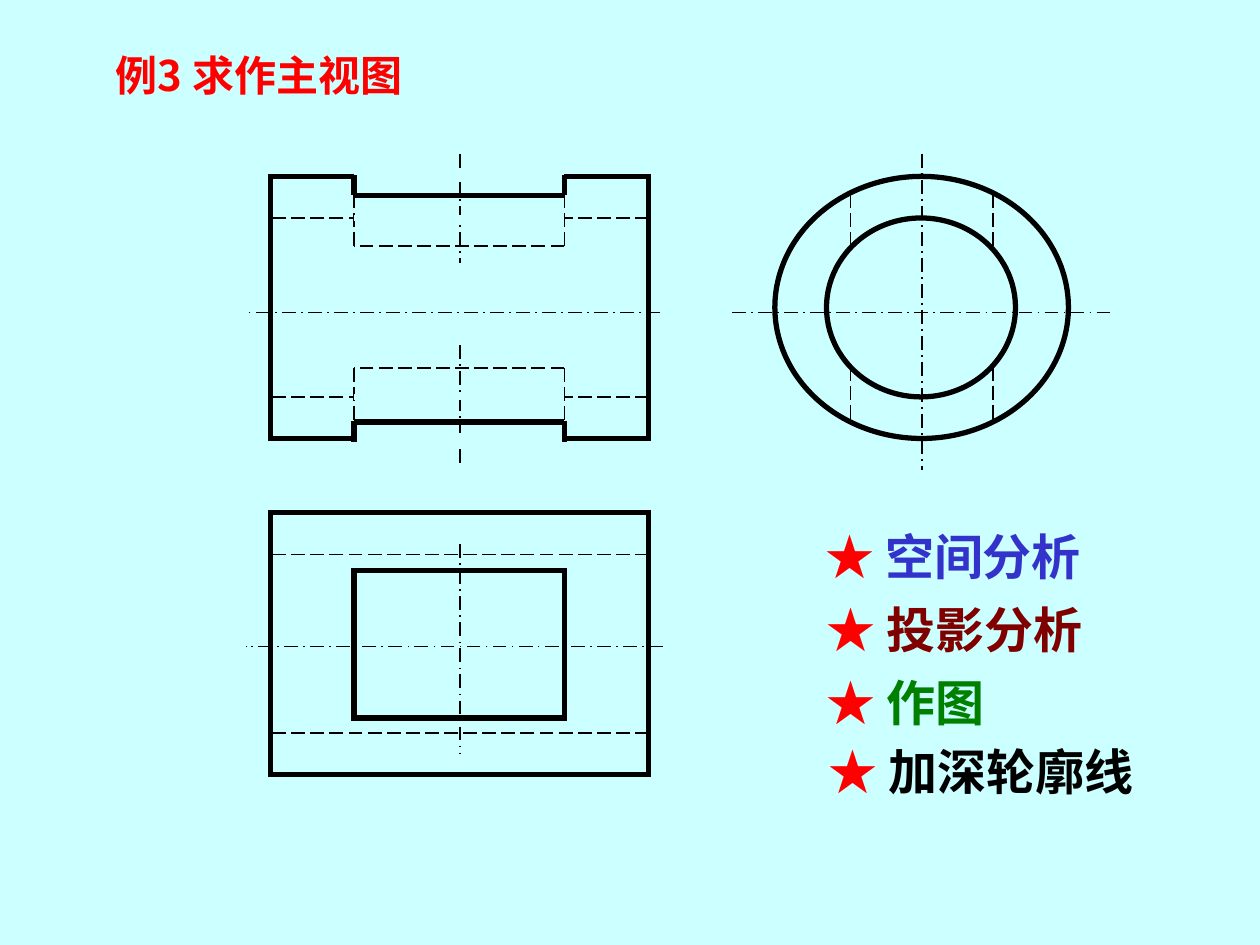
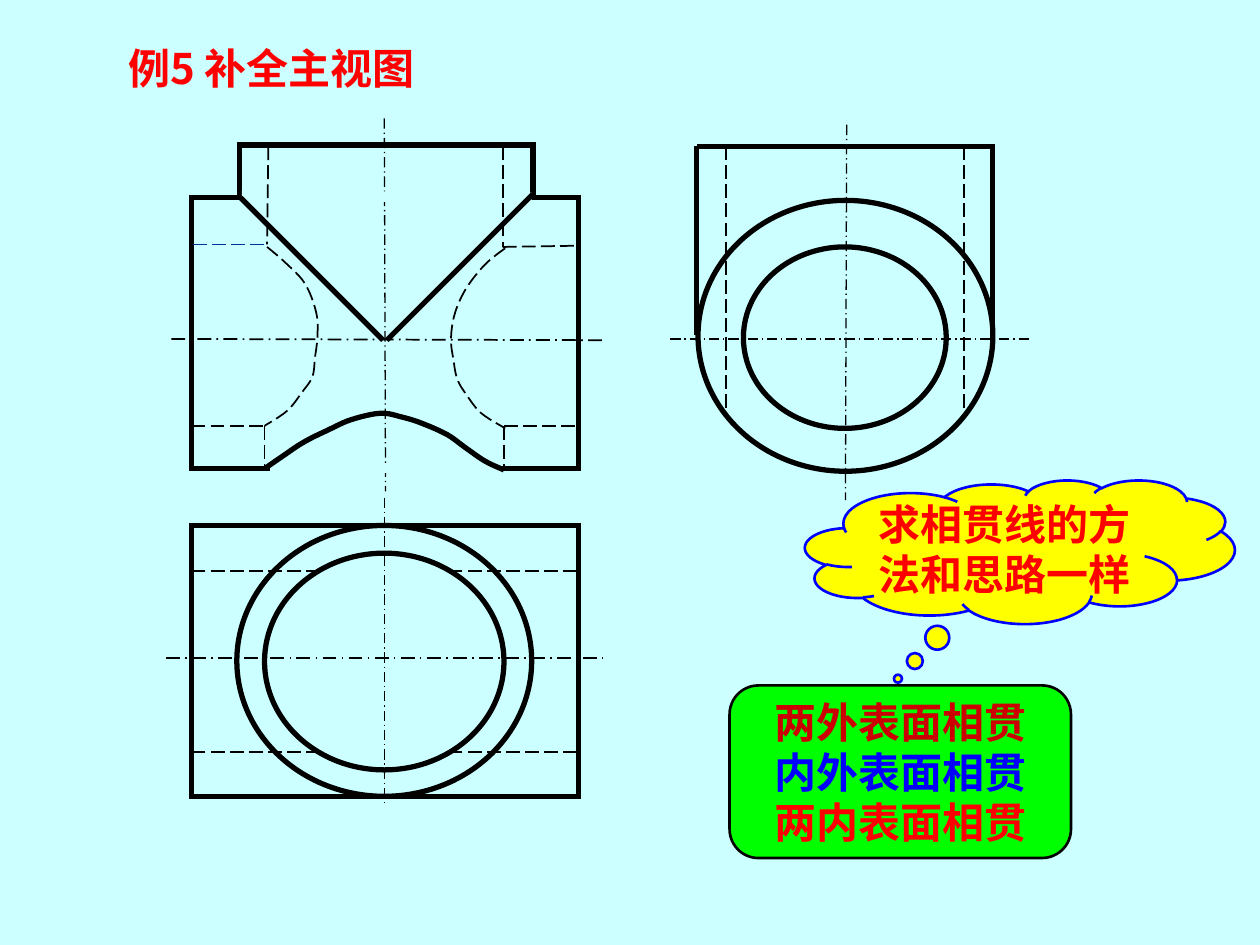
from typing import NamedTuple

from lxml.etree import SubElement
from pptx import Presentation
from pptx.dml.color import RGBColor
from pptx.enum.dml import MSO_LINE
from pptx.enum.shapes import MSO_CONNECTOR, MSO_SHAPE
from pptx.enum.text import MSO_ANCHOR, MSO_AUTO_SIZE, PP_ALIGN
from pptx.oxml.ns import qn
from pptx.util import Inches, Pt

PAPER = RGBColor(0xCC, 0xFF, 0xFF)
BLACK = RGBColor(0, 0, 0)
RED = RGBColor(0xFF, 0, 0)
DARK_RED = RGBColor(0xCC, 0, 0)
MAROON = RGBColor(0x80, 0, 0)
GREEN = RGBColor(0, 0x80, 0)
LIME = RGBColor(0, 0xFF, 0)
YELLOW = RGBColor(0xFF, 0xFF, 0)
BLUE = RGBColor(0, 0, 0xFF)
INDIGO = RGBColor(0x33, 0x33, 0xCC)
NAVY = RGBColor(0, 0x33, 0x99)

CJK_FONT = "Noto Sans CJK SC"
LATIN_FONT = "Times New Roman"
RECT, ELLIPSE = MSO_SHAPE.RECTANGLE, MSO_SHAPE.OVAL


class Pen(NamedTuple):
    width: float
    color: RGBColor = BLACK
    dash: MSO_LINE | None = None


OUTLINE = Pen(3)
HIDDEN = Pen(1, dash=MSO_LINE.LONG_DASH)
BLUE_HIDDEN = Pen(1, NAVY, MSO_LINE.LONG_DASH)
AXIS = Pen(1, dash=MSO_LINE.LONG_DASH_DOT)
THIN_AXIS = Pen(0.75, dash=MSO_LINE.LONG_DASH_DOT)
ERASER = Pen(3, PAPER)
MID_ERASER = Pen(4.5, PAPER)
WIDE_ERASER = Pen(6, PAPER)
BORDER = Pen(1.5)
BLUE_BORDER = Pen(1.5, BLUE)


class Line(NamedTuple):
    x1: float
    y1: float
    x2: float
    y2: float
    pen: Pen


class Box(NamedTuple):
    kind: MSO_SHAPE
    left: float
    top: float
    width: float
    height: float


class Curve(NamedTuple):
    points: list[tuple[float, float]]
    pen: Pen


class Step(NamedTuple):
    text: str
    color: RGBColor
    left: float
    top: float
    width: float


def apply_pen(sp, pen: Pen) -> None:
    sp.line.color.rgb = pen.color
    sp.line.width = Pt(pen.width)
    if pen.dash:
        sp.line.dash_style = pen.dash
    sp_pr = sp._element.spPr
    SubElement(sp_pr.find(qn("a:ln")), qn("a:miter"), lim="800000")


def draw_line(s, line: Line) -> None:
    ends = [Inches(v) for v in line[:4]]
    sp = s.shapes.add_connector(MSO_CONNECTOR.STRAIGHT, *ends)
    apply_pen(sp, line.pen)
    SubElement(sp._element.spPr, qn("a:effectLst"))


def draw_box(s, box: Box, pen: Pen = OUTLINE, fill: RGBColor | None = None):
    sp = s.shapes.add_shape(box.kind, *(Inches(v) for v in box[1:]))
    sp.shadow.inherit = False
    if fill is None:
        sp.fill.background()
    else:
        sp.fill.solid()
        sp.fill.fore_color.rgb = fill
    apply_pen(sp, pen)
    return sp


def smooth(points: list[tuple[float, float]], steps: int = 6):
    """Catmull-Rom interpolation that passes through every point."""
    padded = [points[0], *points, points[-1]]
    result = [points[0]]
    for a, b, c, d in zip(padded, padded[1:], padded[2:], padded[3:]):
        for i in range(1, steps + 1):
            t = i / steps
            result.append(tuple(
                (2 * q + (r - p) * t + (2 * p - 5 * q + 4 * r - u) * t ** 2
                 + (3 * q - p - 3 * r + u) * t ** 3) / 2
                for p, q, r, u in zip(a, b, c, d)))
    return result


def draw_curve(s, curve: Curve) -> None:
    start, *rest = [(Inches(x), Inches(y)) for x, y in smooth(curve.points)]
    builder = s.shapes.build_freeform(*start)
    builder.add_line_segments(rest, close=False)
    sp = builder.convert_to_shape()
    sp.shadow.inherit = False
    sp.fill.background()
    apply_pen(sp, curve.pen)


def draw(s, parts: list[Line | Box | Curve]) -> None:
    painters = {Line: draw_line, Box: draw_box, Curve: draw_curve}
    for part in parts:
        painters[type(part)](s, part)


def write(p, runs: list[tuple[str, RGBColor]], size: float,
          font: str = LATIN_FONT, align: PP_ALIGN = PP_ALIGN.LEFT) -> None:
    p.alignment = align
    p.line_spacing = Pt(size * 1.2)
    p.font.size = Pt(size)
    p.font.bold = True
    p.font.color.rgb = runs[0][1]
    p.font.name = font
    SubElement(p._p.pPr.find(qn("a:defRPr")), qn("a:ea"), typeface=CJK_FONT)
    for text, color in runs:
        r = p.add_run()
        r.text = text
        if color != runs[0][1]:
            r.font.color.rgb = color


def new_slide(prs, title: str, left: float, top: float, width: float):
    s = prs.slides.add_slide(prs.slide_layouts[5])
    sp = s.shapes.title
    sp.left, sp.top = Inches(left), Inches(top)
    sp.width, sp.height = Inches(width), Inches(0.5)
    tf = sp.text_frame
    tf.word_wrap = True
    tf.auto_size = MSO_AUTO_SIZE.SHAPE_TO_FIT_TEXT
    tf.vertical_anchor = MSO_ANCHOR.TOP
    write(tf.paragraphs[0], [(title, RED)], 24, CJK_FONT)
    return s


def draw_step(s, step: Step) -> None:
    sp = s.shapes.add_textbox(Inches(step.left), Inches(step.top),
                              Inches(step.width), Inches(0.57))
    tf = sp.text_frame
    tf.word_wrap = True
    tf.auto_size = MSO_AUTO_SIZE.SHAPE_TO_FIT_TEXT
    write(tf.paragraphs[0], [("★ ", RED), (step.text, step.color)], 28)


def draw_note(s, box: Box, adjustments: list[float], pen: Pen, fill: RGBColor,
              lines: list[tuple[str, RGBColor]], wrap: bool) -> None:
    sp = draw_box(s, box, pen, fill)
    for i, value in enumerate(adjustments):
        sp.adjustments[i] = value
    tf = sp.text_frame
    tf.word_wrap = wrap
    tf.vertical_anchor = MSO_ANCHOR.MIDDLE
    for i, line in enumerate(lines):
        p = tf.add_paragraph() if i else tf.paragraphs[0]
        write(p, [line], 24, align=PP_ALIGN.CENTER)


def slotted_cylinder(prs) -> None:
    s = new_slide(prs, "例3 求作主视图", 0.82, 0.34, 3.41)
    left, right = 2.15, 5.15
    slot = slot_left, slot_right = 2.81, 4.48
    middle = 3.65
    front_view = [
        *(Line(right, y, left, y, HIDDEN) for y in (1.73, 3.15)),
        Box(RECT, left, 1.4, 3, 2.08),
        Line(5.24, 2.48, 1.98, 2.48, AXIS),
        Line(middle, 1.22, middle, 2.09, AXIS),
        Line(middle, 2.74, middle, 3.69, AXIS),
        *(Line(slot_left, y, slot_right, y, OUTLINE) for y in (1.55, 3.35)),
        *(Line(slot_left, y, slot_right, y, WIDE_ERASER) for y in (1.4, 3.48)),
        *(Line(x, y1, x, y2, OUTLINE) for x in slot
          for y1, y2 in ((1.39, 1.55), (3.34, 3.51))),
        *(Line(slot_right, y, slot_left, y, HIDDEN) for y in (1.95, 2.92)),
        *(Line(x, y1, x, y2, HIDDEN) for x in slot
          for y1, y2 in ((1.54, 1.95), (2.92, 3.35))),
        *(Line(slot_left, y, slot_right, y, ERASER) for y in (1.73, 3.15)),
    ]
    side_view = [
        Line(5.81, 2.48, 8.81, 2.48, AXIS),
        Line(7.32, 1.22, 7.32, 3.73, AXIS),
        Box(ELLIPSE, 6.15, 1.4, 2.33, 2.08),
        Box(ELLIPSE, 6.56, 1.73, 1.5, 1.42),
        *(Line(x, y1, x, y2, HIDDEN) for x in (6.75, 7.88)
          for y1, y2 in ((1.54, 1.95), (2.91, 3.35))),
    ]
    top_view = [
        Line(5.26, 5.13, 1.95, 5.13, AXIS),
        Box(RECT, left, 4.07, 3, 2.08),
        Box(RECT, slot_left, 4.53, 1.67, 1.17),
        *(Line(right, y, left, y, HIDDEN) for y in (4.4, 5.82)),
        Line(middle, 4.32, middle, 5.98, AXIS),
    ]
    draw(s, front_view + side_view + top_view)
    for step in (Step("空间分析", INDIGO, 6.45, 4.13, 2.95),
                 Step("投影分析", MAROON, 6.46, 4.71, 2.86),
                 Step("作图", GREEN, 6.46, 5.29, 2.06),
                 Step("加深轮廓线", BLACK, 6.48, 5.84, 3.24)):
        draw_step(s, step)


def crossing_tubes(prs) -> None:
    s = new_slide(prs, "例5 补全主视图", 0.92, 0.29, 3.25)
    draw_note(s, Box(MSO_SHAPE.ROUNDED_RECTANGLE, 5.79, 5.44, 2.71, 1.37),
              [0.167], BORDER, LIME,
              [("两外表面相贯", DARK_RED), ("内外表面相贯", BLUE),
               ("两内表面相贯", RED)], wrap=False)
    draw_note(s, Box(MSO_SHAPE.CLOUD_CALLOUT, 6.39, 3.81, 3.41, 1.14),
              [-0.284, 0.883], BLUE_BORDER, YELLOW,
              [("求相贯线的方法和思路一样", RED)], wrap=True)
    left, right = 1.52, 4.59
    bore_left, bore_right = 2.1, 4
    left_bore = [(2.12, 1.96), (2.26, 2.08), (2.42, 2.25), (2.51, 2.48),
                 (2.52, 2.67), (2.5, 2.84), (2.48, 2.99), (2.4, 3.11),
                 (2.28, 3.26), (2.1, 3.38)]
    right_bore = [(4.01, 1.97), (3.85, 2.1), (3.7, 2.29), (3.61, 2.49),
                  (3.58, 2.69), (3.6, 2.86), (3.63, 3.01), (3.7, 3.13),
                  (3.82, 3.28), (4.01, 3.4)]
    lower_arch = [(2.1, 3.72), (2.23, 3.63), (2.41, 3.51), (2.61, 3.41),
                  (2.79, 3.33), (3.02, 3.28), (3.19, 3.31), (3.35, 3.36),
                  (3.55, 3.45), (3.69, 3.55), (3.85, 3.66), (4, 3.73)]
    top_view = [
        Line(3.05, 3.95, 3.05, 6.39, THIN_AXIS),
        Line(1.32, 5.22, 4.78, 5.22, AXIS),
        Box(ELLIPSE, 1.88, 4.17, 2.34, 2.15),
        Box(RECT, left, 4.17, 3.07, 2.15),
        Box(ELLIPSE, 2.1, 4.39, 1.9, 1.72),
        *(Line(x + 1.02, y, x, y, HIDDEN) for x in (left, 3.56)
          for y in (4.53, 5.97)),
    ]
    side_view = [
        Line(5.32, 2.69, 8.17, 2.69, THIN_AXIS),
        Line(6.72, 0.99, 6.71, 3.97, THIN_AXIS),
        Box(ELLIPSE, 5.54, 1.59, 2.34, 2.15),
        *(Line(x, 2.66, x, 1.16, OUTLINE) for x in (5.53, 7.88)),
        Line(5.53, 1.16, 7.9, 1.16, OUTLINE),
        Box(ELLIPSE, 5.9, 1.96, 1.61, 1.44),
        *(Line(x, 1.16, x, 3.31, HIDDEN) for x in (5.76, 7.65)),
    ]
    front_view = [
        Line(1.36, 2.69, 4.78, 2.7, AXIS),
        Box(RECT, left, 1.57, 3.07, 2.15),
        Box(RECT, 1.9, 1.15, 2.33, 0.42),
        Line(3.05, 0.94, 3.06, 3.9, THIN_AXIS),
        Line(1.92, 1.55, 4.22, 1.57, WIDE_ERASER),
        Line(1.91, 1.57, 3.04, 2.7, OUTLINE),
        Line(4.23, 1.54, 3.07, 2.7, OUTLINE),
        Line(2.13, 1.16, 2.12, 1.94, HIDDEN),
        Line(3.99, 1.16, 3.99, 1.96, HIDDEN),
        *(Line(x, 3.38, x, 3.74, HIDDEN) for x in (bore_left, bore_right)),
        Line(left, 3.38, bore_left, 3.38, HIDDEN),
        Line(bore_right, 3.38, right, 3.38, HIDDEN),
        Line(3.99, 1.96, right, 1.95, HIDDEN),
        Curve(left_bore, HIDDEN),
        Line(2.14, 3.72, 3.98, 3.72, MID_ERASER),
        Curve(right_bore, HIDDEN),
        Curve(lower_arch, OUTLINE),
        Line(1.53, 1.94, 2.11, 1.94, BLUE_HIDDEN),
    ]
    draw(s, top_view + side_view + front_view)


def main() -> None:
    prs = Presentation()
    prs.slide_width, prs.slide_height = Inches(10), Inches(7.5)
    fill = prs.slide_master.background.fill
    fill.solid()
    fill.fore_color.rgb = PAPER
    slotted_cylinder(prs)
    crossing_tubes(prs)
    prs.save("out.pptx")


if __name__ == "__main__":
    main()
